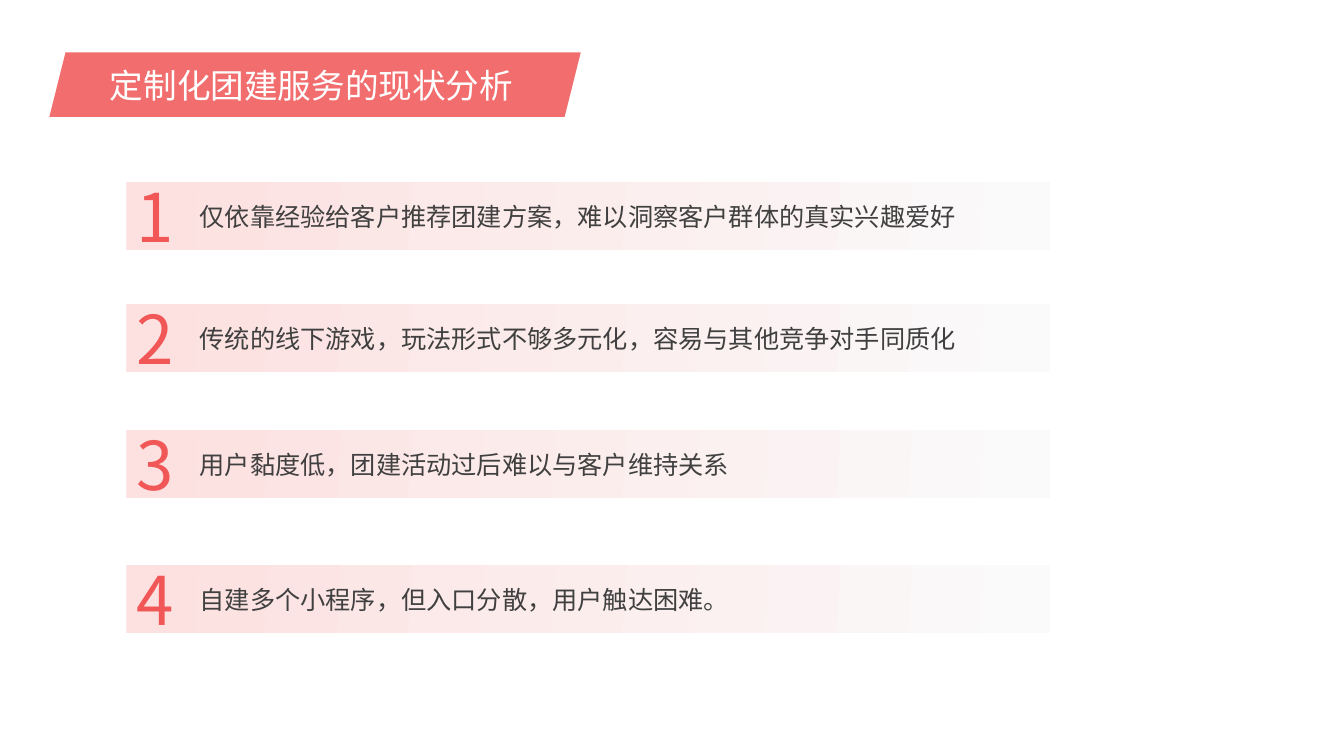
import dataclasses

import lxml.etree
import pptx
import pptx.dml.color
import pptx.enum.shapes
import pptx.enum.text
import pptx.oxml.ns
import pptx.util

Inches = pptx.util.Inches
RGBColor = pptx.dml.color.RGBColor
qn = pptx.oxml.ns.qn

FONT = "Noto Sans CJK SC"
RED = RGBColor(0xF1, 0x57, 0x57)
PINK = RGBColor(0xFD, 0xE0, 0xE0)
PALE = RGBColor(0xFA, 0xFA, 0xFA)
DARK = RGBColor(0x40, 0x40, 0x40)
WHITE = RGBColor(0xFF, 0xFF, 0xFF)

BAR_LEFT = 1.26
BAR_HEIGHT = 0.67
NUMBER_RISE = 0.12


@dataclasses.dataclass(frozen=True)
class Issue:
    top: float
    statement: str


ISSUES = [
    Issue(1.81, "仅依靠经验给客户推荐团建方案，难以洞察客户群体的真实兴趣爱好"),
    Issue(3.02, "传统的线下游戏，玩法形式不够多元化，容易与其他竞争对手同质化"),
    Issue(4.27, "用户黏度低，团建活动过后难以与客户维持关系"),
    Issue(5.61, "自建多个小程序，但入口分散，用户触达困难。"),
]


def write(frame, text: str, size: int, color: RGBColor) -> None:
    frame.text = text
    paragraph = frame.paragraphs[0]
    paragraph.alignment = pptx.enum.text.PP_ALIGN.LEFT
    run = paragraph.runs[0]
    run.font.size = pptx.util.Pt(size)
    run.font.color.rgb = color
    run.font.name = FONT
    east_asian = lxml.etree.SubElement(run.font._element, qn("a:ea"))
    east_asian.set("typeface", FONT)


def add_heading(slide, text: str) -> None:
    banner = slide.shapes.add_shape(
        pptx.enum.shapes.MSO_SHAPE.PARALLELOGRAM,
        Inches(0.49), Inches(0.52), Inches(5.27), Inches(0.64),
    )
    banner.shadow.inherit = False
    banner.line.fill.background()
    banner.fill.solid()
    banner.fill.fore_color.rgb = RED
    color = banner._element.spPr.find(qn("a:solidFill"))[0]
    lxml.etree.SubElement(color, qn("a:alpha")).set("val", "86000")

    heading = slide.shapes.title
    heading.left, heading.top = Inches(1.09), Inches(0.52)
    heading.width, heading.height = Inches(4.3), Inches(0.64)
    frame = heading.text_frame
    frame.auto_size = pptx.enum.text.MSO_AUTO_SIZE.NONE
    frame.margin_left = frame.margin_right = 0
    frame.vertical_anchor = pptx.enum.text.MSO_ANCHOR.MIDDLE
    write(frame, text, 24, WHITE)
    slide.shapes._spTree.append(heading._element)


def add_issue(slide, number: int, issue: Issue) -> None:
    bar = slide.shapes.add_shape(
        pptx.enum.shapes.MSO_SHAPE.RECTANGLE,
        Inches(BAR_LEFT), Inches(issue.top), Inches(9.16), Inches(BAR_HEIGHT),
    )
    bar.shadow.inherit = False
    bar.line.fill.background()
    bar.fill.gradient()
    bar.fill.gradient_angle = 176
    for stop, color, position in zip(bar.fill.gradient_stops, (PALE, PINK), (0, 1)):
        stop.color.rgb = color
        stop.position = position
    bar.text_frame.margin_left = Inches(0.72)
    bar.text_frame.vertical_anchor = pptx.enum.text.MSO_ANCHOR.MIDDLE
    write(bar.text_frame, issue.statement, 18, DARK)

    numeral = slide.shapes.add_textbox(
        Inches(BAR_LEFT), Inches(issue.top - NUMBER_RISE), Inches(0.65), Inches(0.91)
    )
    numeral.text_frame.word_wrap = True
    write(numeral.text_frame, str(number), 48, RED)


def main() -> None:
    deck = pptx.Presentation()
    deck.slide_width, deck.slide_height = Inches(13.33), Inches(7.5)
    slide = deck.slides.add_slide(deck.slide_layouts.get_by_name("Title Only"))
    add_heading(slide, "定制化团建服务的现状分析")
    for number, issue in enumerate(ISSUES, start=1):
        add_issue(slide, number, issue)
    deck.save("out.pptx")


if __name__ == "__main__":
    main()
